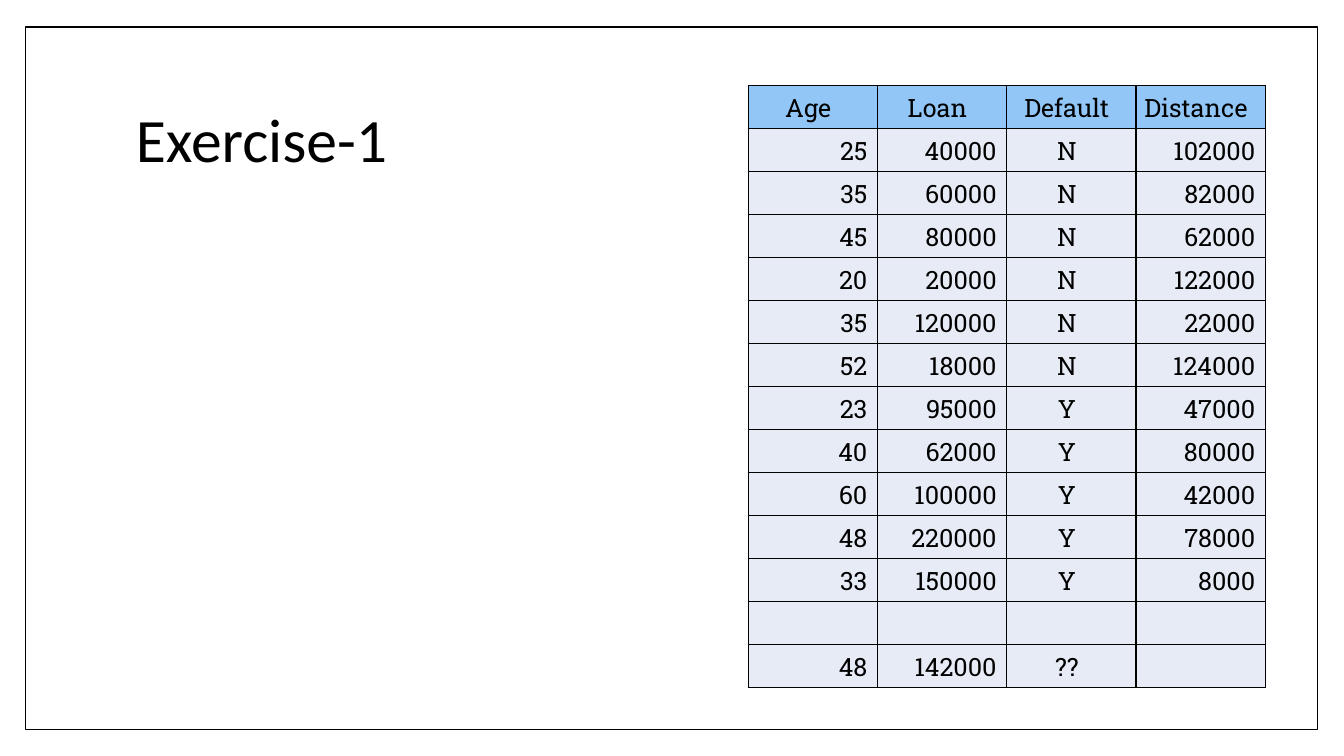
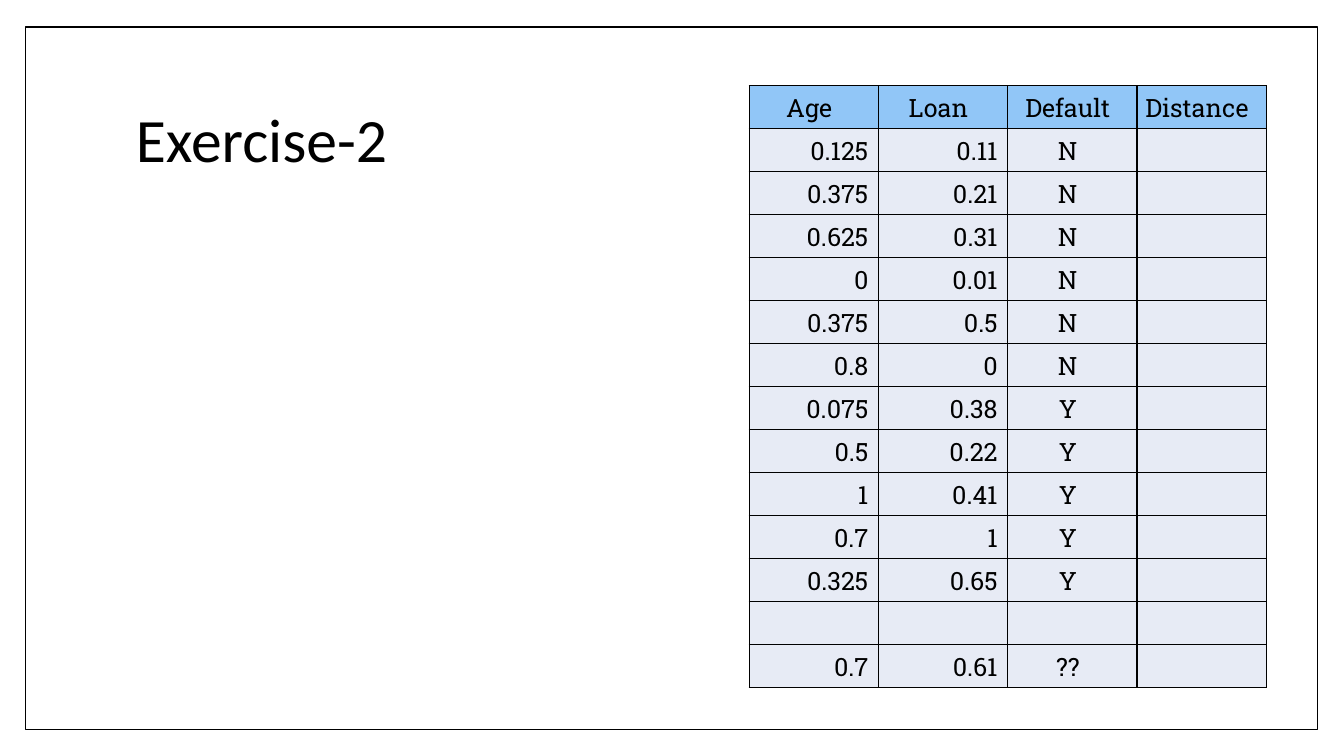
from lxml import etree
from pptx import Presentation
from pptx.dml.color import RGBColor
from pptx.enum.shapes import MSO_SHAPE
from pptx.enum.text import MSO_ANCHOR, PP_ALIGN
from pptx.oxml.ns import qn
from pptx.util import Inches, Pt

RECTANGLE = MSO_SHAPE.RECTANGLE
MIDDLE = MSO_ANCHOR.MIDDLE
LEFT, CENTER, RIGHT = PP_ALIGN.LEFT, PP_ALIGN.CENTER, PP_ALIGN.RIGHT

COLORS = {"ink": "000000", "paper": "FFFFFF", "header": "91C6F7", "body": "E7EBF5"}
TITLE_FONT, TABLE_FONT = "Calibri", "Roboto Slab"
TITLE_SIZE, TABLE_SIZE = 44, 18
LINE_WIDTH = 1

HEADINGS = ("Age", "Loan", "Default", "Distance")
COLUMN_ALIGNS = (RIGHT, RIGHT, CENTER, RIGHT)

RAW_ROWS = [
    ("25", "40000", "N", "102000"),
    ("35", "60000", "N", "82000"),
    ("45", "80000", "N", "62000"),
    ("20", "20000", "N", "122000"),
    ("35", "120000", "N", "22000"),
    ("52", "18000", "N", "124000"),
    ("23", "95000", "Y", "47000"),
    ("40", "62000", "Y", "80000"),
    ("60", "100000", "Y", "42000"),
    ("48", "220000", "Y", "78000"),
    ("33", "150000", "Y", "8000"),
    ("", "", "", ""),
    ("48", "142000", "??", ""),
]

SCALED_ROWS = [
    ("0.125", "0.11", "N", ""),
    ("0.375", "0.21", "N", ""),
    ("0.625", "0.31", "N", ""),
    ("0", "0.01", "N", ""),
    ("0.375", "0.5", "N", ""),
    ("0.8", "0", "N", ""),
    ("0.075", "0.38", "Y", ""),
    ("0.5", "0.22", "Y", ""),
    ("1", "0.41", "Y", ""),
    ("0.7", "1", "Y", ""),
    ("0.325", "0.65", "Y", ""),
    ("", "", "", ""),
    ("0.7", "0.61", "??", ""),
]


def color(name):
    return RGBColor.from_string(COLORS[name])


class ExerciseDeck:
    """Holds the shared style and the slide being built."""

    def __init__(self):
        self.deck = Presentation()
        self.deck.slide_width = Inches(13.33)
        self.deck.slide_height = Inches(7.5)
        self.page = None

    def add_page(self, title):
        self.page = self.deck.slides.add_slide(self.deck.slide_layouts[6])
        self.add_frame()
        self.add_title(title)

    def add_frame(self):
        frame = self.page.shapes.add_shape(
            RECTANGLE, Inches(0.25), Inches(0.27), Inches(12.82), Inches(6.97))
        frame.shadow.inherit = False
        frame.fill.solid()
        frame.fill.fore_color.rgb = color("paper")
        frame.line.color.rgb = color("ink")
        frame.line.width = Pt(LINE_WIDTH)

    def add_title(self, text):
        box = self.page.shapes.add_textbox(
            Inches(1.25), Inches(0.67), Inches(10.8), Inches(1.48))
        frame = box.text_frame
        frame.word_wrap = True
        frame.vertical_anchor = MIDDLE
        para = frame.paragraphs[0]
        para.line_spacing = 0.9
        self.add_text(para, text, TITLE_FONT, TITLE_SIZE, LEFT)

    def add_text(self, para, text, font, size, align):
        para.alignment = align
        span = para.add_run()
        span.text = text
        span.font.name = font
        span.font.size = Pt(size)
        span.font.color.rgb = color("ink")

    def add_table(self, left, rows):
        width, height = Inches(5.13), Inches(5.97)
        lines = [HEADINGS, *rows]
        table = self.page.shapes.add_table(
            len(lines), len(HEADINGS), Inches(left), Inches(0.85), width, height).table
        table.first_row = False
        table.horz_banding = False
        for row_index, values in enumerate(lines):
            is_header = row_index == 0
            for column_index, text in enumerate(values):
                align = CENTER if is_header else COLUMN_ALIGNS[column_index]
                self.fill_cell(table.cell(row_index, column_index), text, align,
                               "header" if is_header else "body")

    def fill_cell(self, cell, text, align, fill):
        cell.margin_left = cell.margin_top = Inches(0.01)
        cell.margin_right = Inches(0.1)
        cell.margin_bottom = 0
        cell.vertical_anchor = MIDDLE
        cell.fill.solid()
        cell.fill.fore_color.rgb = color(fill)
        self.add_borders(cell)
        if text:
            self.add_text(cell.text_frame.paragraphs[0], text,
                          TABLE_FONT, TABLE_SIZE, align)

    def add_borders(self, cell):
        """Draw all four sides; the schema wants them ahead of the fill."""
        properties = cell._tc.get_or_add_tcPr()
        for index, side in enumerate(("a:lnL", "a:lnR", "a:lnT", "a:lnB")):
            line = etree.Element(qn(side), w=str(Pt(LINE_WIDTH)))
            solid = etree.SubElement(line, qn("a:solidFill"))
            etree.SubElement(solid, qn("a:srgbClr"), val=COLORS["ink"])
            properties.insert(index, line)


def main():
    exercises = ExerciseDeck()
    for title, table_left, rows in (
        ("Exercise-1", 7.42, RAW_ROWS),
        ("Exercise-2", 7.43, SCALED_ROWS),
    ):
        exercises.add_page(title)
        exercises.add_table(table_left, rows)
    exercises.deck.save("out.pptx")


if __name__ == "__main__":
    main()
